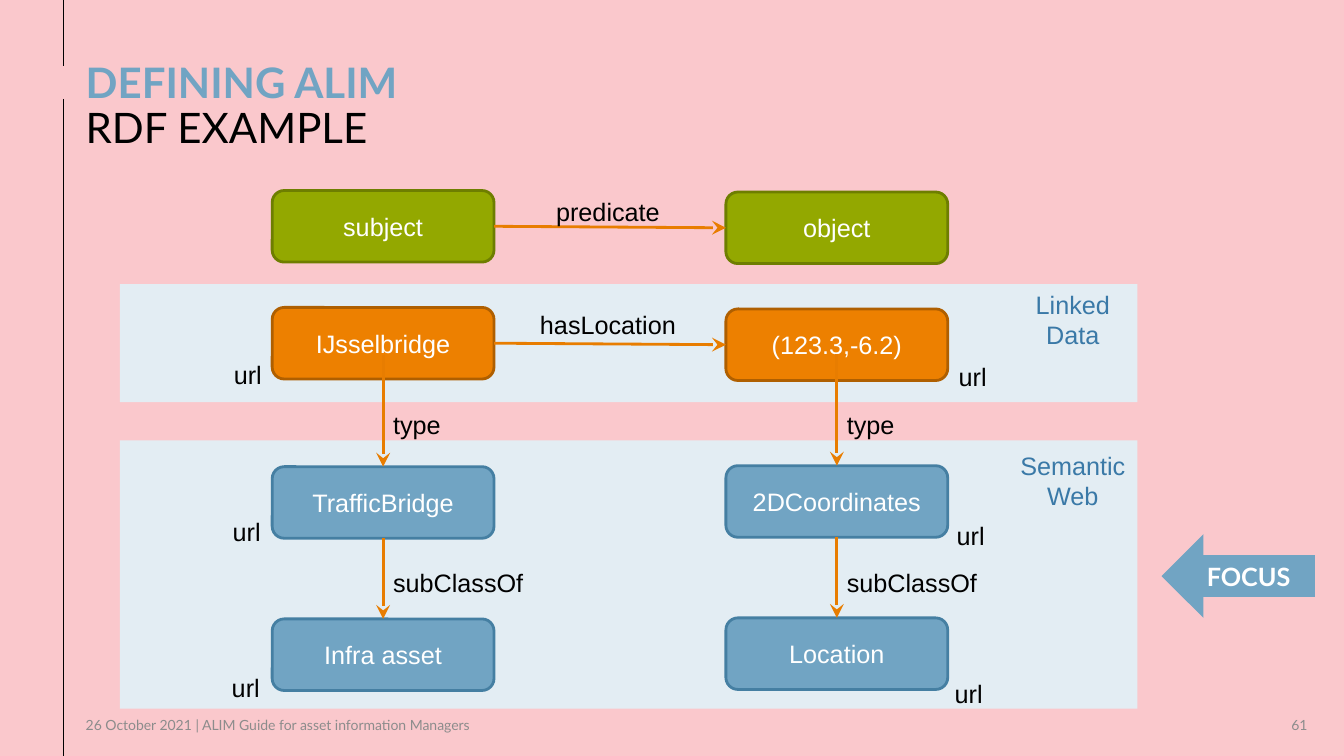
from lxml.etree import SubElement
from pptx import Presentation
from pptx.dml.color import RGBColor
from pptx.enum.shapes import MSO_CONNECTOR, MSO_SHAPE
from pptx.enum.text import MSO_ANCHOR, MSO_AUTO_SIZE, PP_ALIGN
from pptx.oxml.ns import qn
from pptx.util import Inches, Pt

COLORS = {
    "background": "FAC8CC", "band": "E3EDF3", "black": "000000",
    "white": "FFFFFF", "gray": "8C8C8C", "band_label": "3A79A7",
    "arrow": "E87D00", "green": "93A800", "green_edge": "6E7E00",
    "orange": "ED8000", "orange_edge": "AF5F00",
    "blue": "71A4C3", "blue_edge": "457FA2",
}
NODE_WIDTH, NODE_HEIGHT = 2.2, 0.71
SUBJECT_LEFT, OBJECT_LEFT = 2.7, 7.2
LABEL_HEIGHT = 0.4
URL_WIDTH = 0.48


def color(name):
    return RGBColor.from_string(COLORS[name])


def write(shape, text, size=18, font="Arial", ink="black", bold=False,
          align=PP_ALIGN.LEFT, anchor=MSO_ANCHOR.TOP, wrap=True,
          insets=(0.1, 0.05, 0.1, 0.05), spacing=None):
    frame = shape.text_frame
    frame.text = text
    frame.auto_size = MSO_AUTO_SIZE.NONE
    frame.word_wrap = wrap
    frame.vertical_anchor = anchor
    frame.margin_left, frame.margin_top, frame.margin_right, frame.margin_bottom = map(Inches, insets)
    for paragraph in frame.paragraphs:
        paragraph.alignment = align
        if spacing:
            paragraph.line_spacing = spacing
        paragraph.font.size = Pt(size)
        paragraph.font.name = font
        paragraph.font.bold = bold
        paragraph.font.color.rgb = color(ink)


def add_text(slide, box, text, **style):
    write(slide.shapes.add_textbox(*map(Inches, box)), text, **style)


def add_block(slide, kind, box, fill, edge=None):
    shape = slide.shapes.add_shape(kind, *map(Inches, box))
    shape.shadow.inherit = False
    shape.fill.solid()
    shape.fill.fore_color.rgb = color(fill)
    if edge:
        shape.line.color.rgb = color(edge)
        shape.line.width = Pt(2)
    else:
        shape.line.fill.background()
    return shape


def add_line(slide, start, end, ink="arrow", width=2, arrow=True):
    line = slide.shapes.add_connector(MSO_CONNECTOR.STRAIGHT, *map(Inches, start + end))
    line.line.color.rgb = color(ink)
    line.line.width = Pt(width)
    if arrow:
        SubElement(line.line._get_or_add_ln(), qn("a:tailEnd"), type="stealth", w="lg", len="lg")
    SubElement(line._element.spPr, qn("a:effectLst"))


def add_header(slide, left, top, width):
    title = slide.shapes.title
    title.left, title.top, title.width, title.height = map(Inches, (left, top, width, 0.4))
    write(title, "DEFINING ALIM", size=30, font="Lato", ink="blue", bold=True,
          insets=(0, 0, 0, 0), spacing=0.9)
    add_text(slide, (left, top + 0.39, width, 0.38), "RDF EXAMPLE",
             size=30, font="Lato", insets=(0, 0, 0, 0))


def add_margin_line(slide, left, gap_top, gap_bottom, bottom):
    for start, end in ((0, gap_top), (gap_bottom, bottom)):
        add_line(slide, (left, start), (left, end), ink="black", width=0.57, arrow=False)


def add_footer(slide, left, top):
    style = {"size": 10, "font": "Lato", "ink": "gray", "anchor": MSO_ANCHOR.MIDDLE}
    add_text(slide, (left, top, 5.82, 0.2),
             "26 October 2021 | ALIM Guide for asset information Managers",
             insets=(0, 0, 0, 0), **style)
    add_text(slide, (12.71, top, 0.46, 0.2), "61", **style)


def add_band(slide, top, height, label, label_offset):
    left, width, label_width = 1.19, 10.09, 1.28
    add_block(slide, MSO_SHAPE.RECTANGLE, (left, top, width, height), "band")
    add_text(slide, (left + width - label_width, top + label_offset, label_width, 0.71),
             label, ink="band_label", align=PP_ALIGN.CENTER)


def add_node(slide, left, top, text, fill):
    box = (left, top, NODE_WIDTH, NODE_HEIGHT)
    node = add_block(slide, MSO_SHAPE.ROUNDED_RECTANGLE, box, fill, fill + "_edge")
    write(node, text, ink="white", align=PP_ALIGN.CENTER, anchor=MSO_ANCHOR.MIDDLE)


def add_triple(slide, top, subject, predicate, target, fill, label_top, label_width):
    object_top = top + 0.015
    middle = NODE_HEIGHT / 2
    add_node(slide, SUBJECT_LEFT, top, subject, fill)
    add_node(slide, OBJECT_LEFT, object_top, target, fill)
    add_line(slide, (SUBJECT_LEFT + NODE_WIDTH, top + middle), (OBJECT_LEFT, object_top + middle))
    add_text(slide, (6.03 - label_width / 2, label_top, label_width, LABEL_HEIGHT),
             predicate, align=PP_ALIGN.CENTER, wrap=False)


def add_class_column(slide, left, top, parent, ancestor):
    center = left + NODE_WIDTH / 2
    ancestor_top = top + 1.51
    add_node(slide, left, top, parent, "blue")
    add_node(slide, left, ancestor_top, ancestor, "blue")
    links = (("type", top - 1.11, top, 4.01, 0.68),
             ("subClassOf", top + NODE_HEIGHT, ancestor_top, 5.58, 1.51))
    for label, start, end, label_top, label_width in links:
        add_line(slide, (center, start), (center, end))
        add_text(slide, (center, label_top, label_width, LABEL_HEIGHT), label, wrap=False)


def add_urls(slide, left, top, step_left, step_top):
    for row in range(3):
        box = (left + row * step_left, top + row * step_top, URL_WIDTH, LABEL_HEIGHT)
        add_text(slide, box, "url", wrap=False)


def add_focus(slide, left, top):
    arrow = add_block(slide, MSO_SHAPE.LEFT_ARROW, (left, top, 1.52, 0.83), "blue")
    write(arrow, "FOCUS", font="Lato", ink="white", bold=True,
          align=PP_ALIGN.CENTER, anchor=MSO_ANCHOR.MIDDLE)


def main():
    presentation = Presentation()
    presentation.slide_width, presentation.slide_height = Inches(13.33), Inches(7.5)
    slide = presentation.slides.add_slide(presentation.slide_layouts[5])
    slide.background.fill.solid()
    slide.background.fill.fore_color.rgb = color("background")
    add_margin_line(slide, 0.63, 0.65, 0.98, 7.5)
    add_header(slide, 0.85, 0.62, 11.84)
    add_footer(slide, 0.85, 7.09)
    add_band(slide, 2.82, 1.17, "Linked\nData", 0)
    add_band(slide, 4.37, 2.66, "Semantic Web", 0.05)
    add_triple(slide, 1.89, "subject", "predicate", "object", "green", 1.9, 1.24)
    add_triple(slide, 3.05, "IJsselbridge", "hasLocation", "(123.3,-6.2)", "orange", 3.02, 1.56)
    add_class_column(slide, SUBJECT_LEFT, 4.63, "TrafficBridge", "Infra asset")
    add_class_column(slide, OBJECT_LEFT, 4.62, "2DCoordinates", "Location")
    add_urls(slide, 2.22, 3.52, -0.01, 1.55)
    add_urls(slide, 9.41, 3.54, -0.02, 1.57)
    add_focus(slide, 11.52, 5.3)
    presentation.save("out.pptx")


if __name__ == "__main__":
    main()
